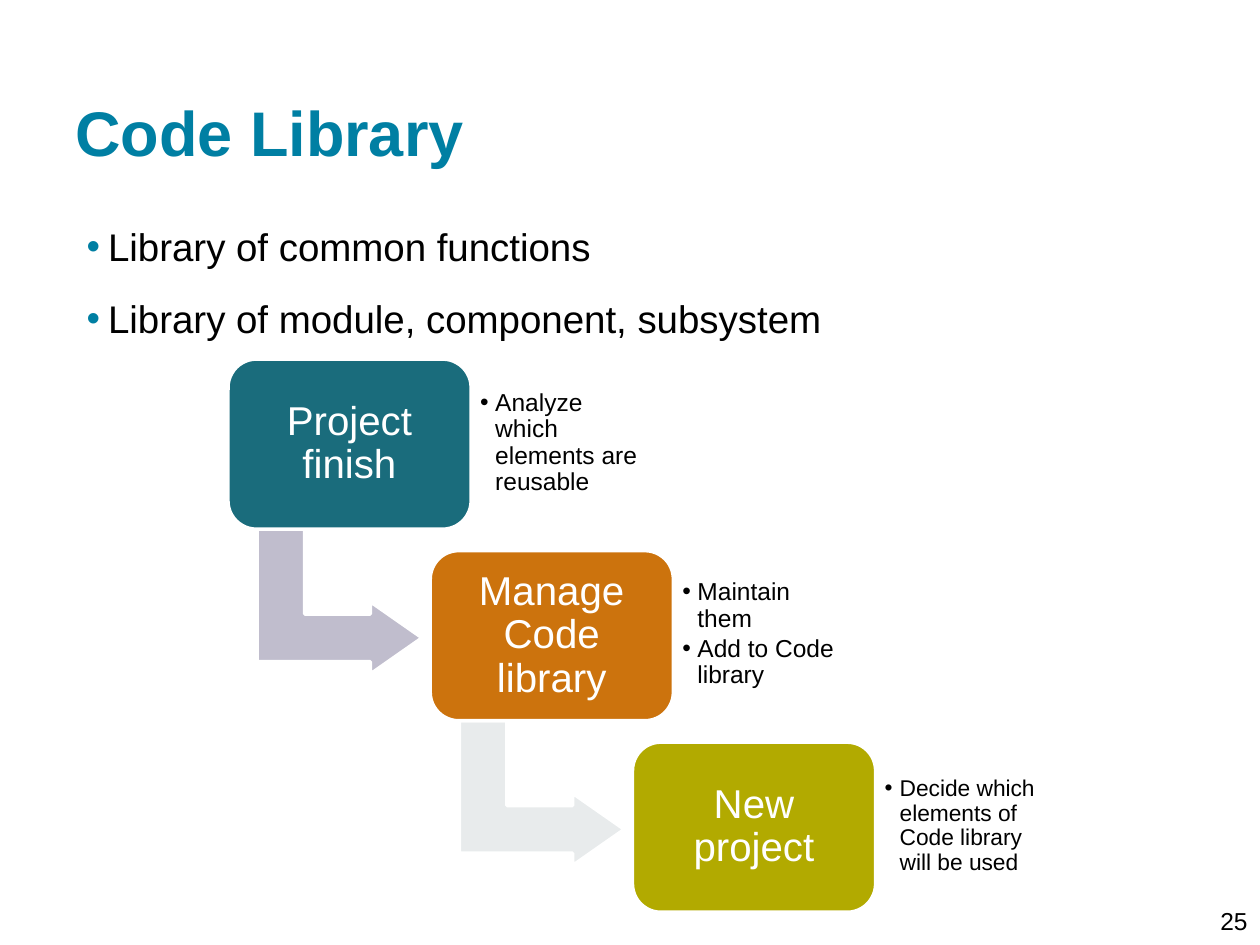
from lxml import etree
from pptx import Presentation
from pptx.dml.color import RGBColor
from pptx.enum.shapes import MSO_SHAPE
from pptx.enum.text import MSO_ANCHOR, PP_ALIGN
from pptx.oxml.ns import qn
from pptx.util import Inches, Pt

ROUNDED, BENT_ARROW = MSO_SHAPE.ROUNDED_RECTANGLE, MSO_SHAPE.BENT_UP_ARROW
TOP, MIDDLE, BOTTOM = MSO_ANCHOR.TOP, MSO_ANCHOR.MIDDLE, MSO_ANCHOR.BOTTOM
CENTER, RIGHT = PP_ALIGN.CENTER, PP_ALIGN.RIGHT

COLORS = {
    "accent": "007FA3", "black": "000000", "white": "FFFFFF",
    "teal": "1A6C7C", "orange": "CC730D", "olive": "B2AA00",
    "lilac": "C0BDCD", "pale": "E8EBEC",
}
TITLE = "Code Library"
POINTS = ["Library of common functions", "Library of module, component, subsystem"]
PAGE_NUMBER = "25"
STEPS = [
    {"name": "Project finish", "fill": "teal", "arrow": "lilac", "size": 14,
     "notes": ["Analyze which elements are reusable"]},
    {"name": "Manage Code library", "fill": "orange", "arrow": "pale", "size": 14,
     "notes": ["Maintain them", "Add to Code library"]},
    {"name": "New project", "fill": "olive", "arrow": None, "size": 13,
     "notes": ["Decide which elements of Code library will be used"]},
]
STEP_LEFT, STEP_TOP = 1.81, 2.85
STEP_WIDTH, STEP_HEIGHT = 1.93, 1.35
SHIFT_X, SHIFT_Y = 1.605, 1.52
ARROW_ADJUSTMENTS = (0.328, 0.25, 0.358)


def color(name):
    return RGBColor.from_string(COLORS[name])


def add_bullet(para, indent, hanging, tint):
    props = para._p.get_or_add_pPr()
    props.set("marL", str(Inches(indent)))
    props.set("indent", str(-Inches(hanging)))
    fill = etree.SubElement(props, qn("a:buClr"))
    etree.SubElement(fill, qn("a:srgbClr"), val=COLORS[tint])
    etree.SubElement(props, qn("a:buFont"), typeface="Arial")
    etree.SubElement(props, qn("a:buChar"), char="•")


def write(box, lines, size, tint="black", bold=False, anchor=MIDDLE, align=None,
          margins=(0.1, 0.1), spacing=None, before=0, after=0, bullet=None):
    frame = box.text_frame
    frame.word_wrap = True
    frame.vertical_anchor = anchor
    frame.margin_left = frame.margin_right = Inches(margins[0])
    frame.margin_top = frame.margin_bottom = Inches(margins[1])
    for index, line in enumerate(lines):
        para = frame.add_paragraph() if index else frame.paragraphs[0]
        para.text = line
        para.alignment = align
        para.line_spacing = spacing
        para.space_before, para.space_after = Pt(before), Pt(after)
        para.font.name, para.font.size, para.font.bold = "Arial", Pt(size), bold
        para.font.color.rgb = color(tint)
        if bullet:
            add_bullet(para, *bullet)


def add_text(page, place, lines, size, **style):
    box = page.shapes.add_textbox(*map(Inches, place))
    write(box, lines, size, **style)


def add_block(page, kind, place, fill, adjustments):
    block = page.shapes.add_shape(kind, *map(Inches, place))
    block.shadow.inherit = False
    block.fill.solid()
    block.fill.fore_color.rgb = color(fill)
    block.line.color.rgb = color("white")
    block.line.width = Pt(2)
    for index, value in enumerate(adjustments):
        block.adjustments[index] = value
    return block


def add_step(page, index, step):
    left, top = STEP_LEFT + index * SHIFT_X, STEP_TOP + index * SHIFT_Y
    if step["arrow"]:
        arrow = add_block(page, BENT_ARROW, (left + 0.31, top + 1.27, 1.15, 1.31),
                          step["arrow"], ARROW_ADJUSTMENTS)
        arrow.rotation = 90
    block = add_block(page, ROUNDED, (left, top, STEP_WIDTH, STEP_HEIGHT),
                      step["fill"], (0.167,))
    write(block, [step["name"]], 23, tint="white", align=CENTER, spacing=0.9)
    add_text(page, (left + STEP_WIDTH, top + 0.12, 1.41, 1.09), step["notes"], step["size"],
             margins=(0.07, 0.07), spacing=0.9, after=2, bullet=(0.12, 0.12, "black"))


def main():
    deck = Presentation()
    deck.slide_width, deck.slide_height = Inches(10), Inches(7.5)
    page = deck.slides.add_slide(deck.slide_layouts[6])
    add_text(page, (0.5, 0.24, 9, 1.2), [TITLE], 36, tint="accent", bold=True, anchor=BOTTOM)
    add_text(page, (0.48, 1.67, 9.1, 5.17), POINTS, 22, anchor=TOP, before=15,
             bullet=(0.28, 0.17, "accent"))
    add_text(page, (9.4, 7.21, 0.6, 0.2), [PAGE_NUMBER], 14, align=RIGHT, margins=(0.1, 0.05))
    for index, step in enumerate(STEPS):
        add_step(page, index, step)
    deck.save("out.pptx")


if __name__ == "__main__":
    main()
